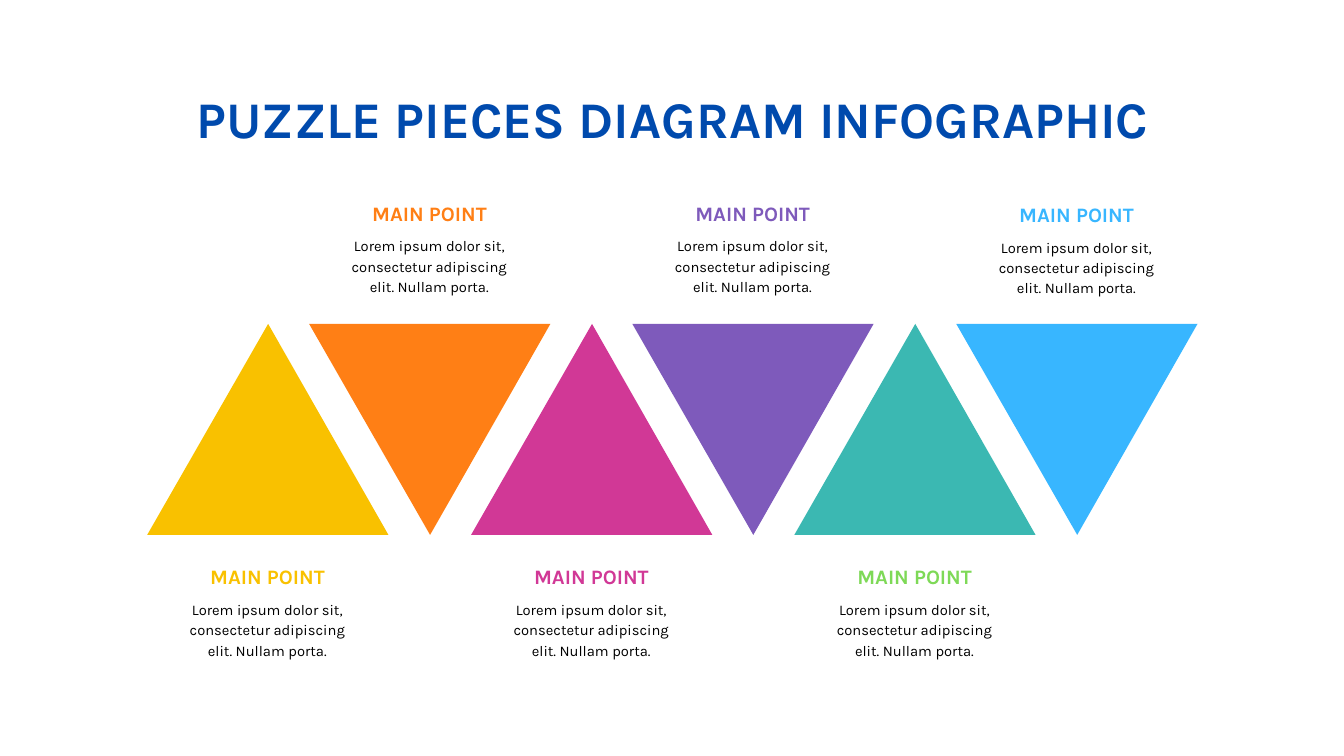
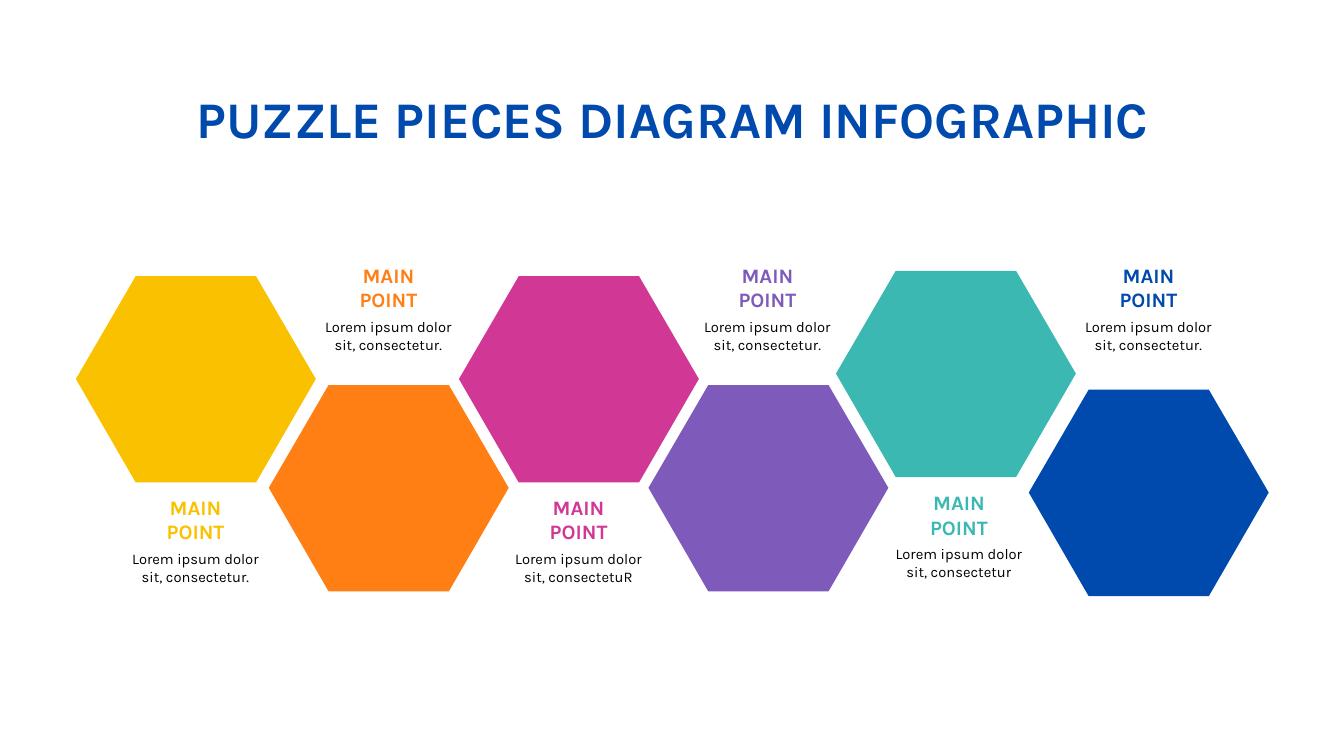
from pptx import Presentation
from pptx.dml.color import RGBColor as RGB
from pptx.enum.text import MSO_ANCHOR as Anchor, MSO_AUTO_SIZE as Fit, PP_ALIGN as Align
from pptx.util import Pt

PX = 9144  # EMU in one px, 100 px to the inch
FONT = "Karla"
TITLE = "PUZZLE PIECES DIAGRAM INFOGRAPHIC"
COLORS = {
    "gold": "F9C100", "orange": "FF7F15", "pink": "D13896",
    "purple": "7E5ABB", "teal": "3BB8B2", "sky": "38B6FF",
    "blue": "004AAD", "green": "7ED957", "black": "000000",
}

# Outlines as points from the top left corner
UP = [(180, 0), (359, 314), (0, 314)]
DOWN = [(0, 0), (359, 0), (180, 314)]
HEX = [(0, 153), (89, 0), (268, 0), (357, 153), (268, 307), (89, 307)]

# Triangles: fill, heading colour, heading top
POINTS = [
    ("gold", "gold", 840), ("orange", "orange", 299), ("pink", "pink", 840),
    ("purple", "purple", 299), ("teal", "green", 840), ("sky", "sky", 301),
]
POINT_TEXT = "Lorem ipsum dolor sit, consectetur adipiscing elit. Nullam porta."

# Hexagons: colour, left, top, text left, heading top, ending of the text
CELLS = [
    ("gold", 113, 411, 196, 736, "r."),
    ("orange", 400, 573, 483, 391, "r."),
    ("pink", 683, 411, 766, 736, "R"),
    ("purple", 965, 573, 1047, 391, "r."),
    ("teal", 1244, 403, 1332, 729, "r"),
    ("blue", 1531, 580, 1614, 391, "r."),
]
CELL_TEXT = "Lorem ipsum dolor sit, consectetu"


def place(shape, box):
    shape.left, shape.top, shape.width, shape.height = (n * PX for n in box)


def write(shape, text, size=15.8, color="black", bold=False, gap=1.0):
    """Fill a shape with centred text, one paragraph a line."""
    frame = shape.text_frame
    frame.word_wrap = True
    frame.auto_size = Fit.SHAPE_TO_FIT_TEXT
    frame.vertical_anchor = Anchor.TOP
    frame.margin_left = frame.margin_right = 0
    frame.margin_top = frame.margin_bottom = 0
    frame.text = text
    for para in frame.paragraphs:
        para.alignment = Align.CENTER
        para.line_spacing = gap
        font = para.runs[0].font
        font.name, font.size, font.bold = FONT, Pt(size), bold
        font.color.rgb = RGB.from_string(COLORS[color])


def add_text(slide, text, box, **style):
    shape = slide.shapes.add_textbox(0, 0, 0, 0)
    place(shape, box)
    write(shape, text, **style)


def add_head(slide, text, box, color):
    add_text(slide, text, box, size=22, color=color, bold=True)


def add_piece(slide, outline, left, top, color):
    spots = [(left + x, top + y) for x, y in outline]
    pen = slide.shapes.build_freeform(*spots[0], scale=PX)
    pen.add_line_segments(spots[1:], close=True)
    shape = pen.convert_to_shape()
    shape.shadow.inherit = False
    shape.fill.solid()
    shape.fill.fore_color.rgb = RGB.from_string(COLORS[color])
    shape.line.fill.background()


def add_slide(deck):
    """Start a title-only slide with the shared title."""
    slide = deck.slides.add_slide(deck.slide_layouts[5])
    title = slide.shapes.title
    place(title, (82, 121, 1838, 85))
    write(title, TITLE, size=55, color="blue", bold=True, gap=1.1)
    return slide


def draw_triangles(slide):
    for i, (fill, color, top) in enumerate(POINTS):
        left = round(219 + 240.8 * i)
        add_piece(slide, DOWN if i % 2 else UP, left, 482, fill)
        add_head(slide, "MAIN POINT", (left + 44, top, 270, 33), color)
        add_text(slide, POINT_TEXT, (left + 44, top + 50, 270, 88), gap=1.15)


def draw_hexes(slide):
    for color, left, top, side, head, end in CELLS:
        add_piece(slide, HEX, left, top, color)
        add_head(slide, "MAIN\nPOINT", (side, head, 190, 74), color)
        add_text(slide, CELL_TEXT + end, (side, head + 82, 190, 80))


def main():
    deck = Presentation()
    deck.slide_width, deck.slide_height = 2000 * PX, 1125 * PX
    draw_triangles(add_slide(deck))
    draw_hexes(add_slide(deck))
    deck.save("out.pptx")


if __name__ == "__main__":
    main()
